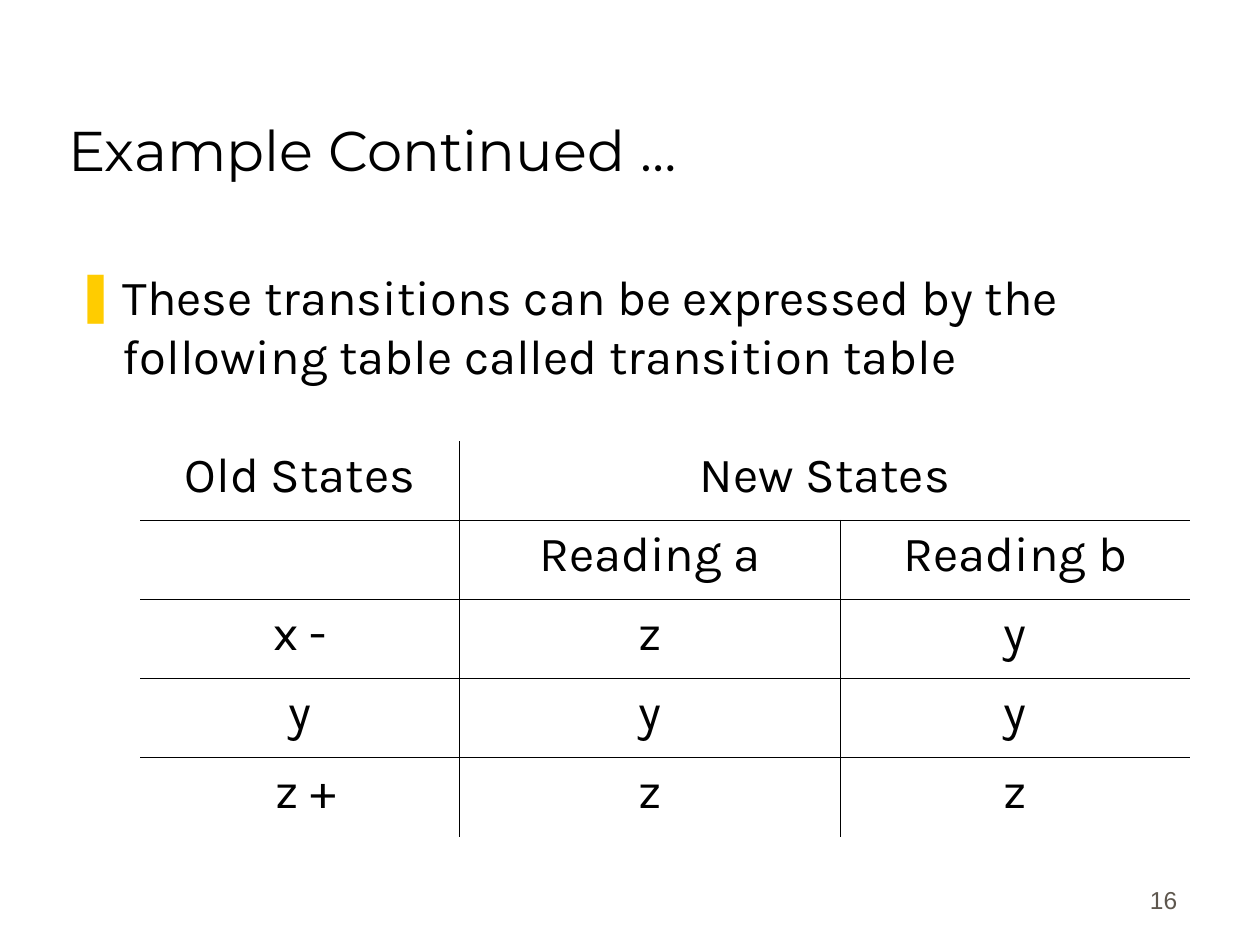
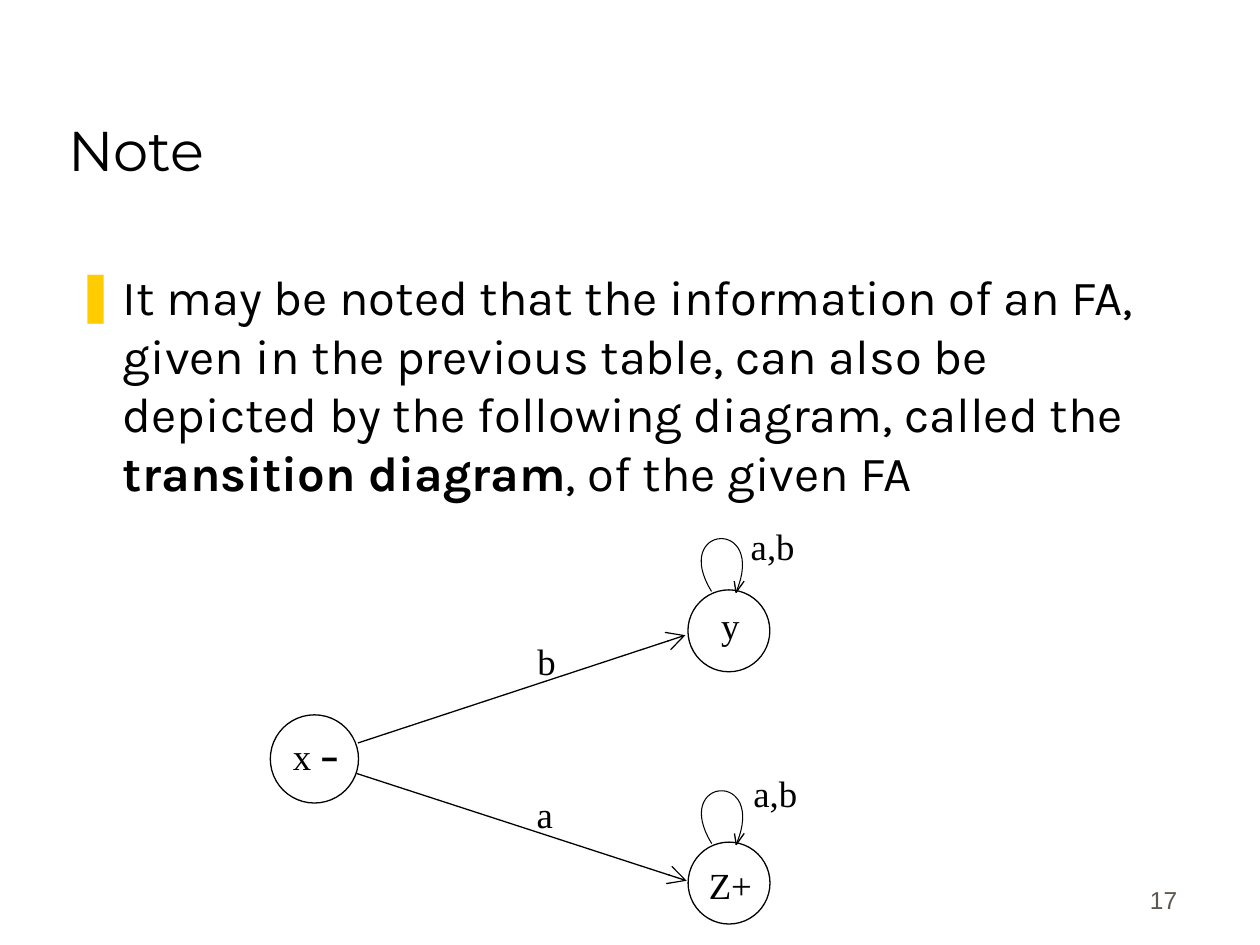
from dataclasses import dataclass

from lxml import etree
from pptx import Presentation
from pptx.dml.color import RGBColor
from pptx.enum.shapes import MSO_CONNECTOR, MSO_SHAPE
from pptx.enum.text import MSO_ANCHOR, MSO_AUTO_SIZE, PP_ALIGN
from pptx.oxml.ns import qn
from pptx.util import Pt

LEFT, CENTER, RIGHT = PP_ALIGN.LEFT, PP_ALIGN.CENTER, PP_ALIGN.RIGHT
TOP, MIDDLE, BOTTOM = MSO_ANCHOR.TOP, MSO_ANCHOR.MIDDLE, MSO_ANCHOR.BOTTOM
OVAL = MSO_SHAPE.OVAL
STRAIGHT = MSO_CONNECTOR.STRAIGHT

Point = tuple[float, float]


@dataclass(frozen=True)
class TextStyle:
    name: str
    size: float
    color: str = "000000"
    bold: bool = False


@dataclass(frozen=True)
class Theme:
    ink: str = "000000"
    paper: str = "FFFFFF"
    bullet: str = "FFCC00"
    title: TextStyle = TextStyle("Montserrat", 32)
    body: TextStyle = TextStyle("Karla", 28)
    strong: TextStyle = TextStyle("Karla", 28, bold=True)
    number: TextStyle = TextStyle("Arial", 14, "5E574E")
    label: TextStyle = TextStyle("Times New Roman", 21)
    sign: TextStyle = TextStyle("Karla", 20, bold=True)
    rule: float = 0.45
    loop: float = 0.6
    outline: float = 0.75


THEME = Theme()
Span = tuple[str, TextStyle]


@dataclass(frozen=True)
class Box:
    left: float
    top: float
    width: float
    height: float

    def lengths(self) -> tuple:
        return tuple(Pt(v) for v in (self.left, self.top, self.width, self.height))


@dataclass(frozen=True)
class State:
    """A circle of the diagram; drop moves its text down from the middle."""
    spans: tuple[Span, ...]
    left: float
    top: float
    size: float
    drop: float
    loops: bool = False


@dataclass(frozen=True)
class Arrow:
    start: Point
    end: Point


@dataclass(frozen=True)
class Label:
    text: str
    left: float
    top: float


TITLE_BOX = Box(31.7, 18, 612, 90)
NUMBER_BOX = Box(530, 490.3, 149.8, 36)
BODY_LEFT, BODY_TOP, BODY_HEIGHT = 36, 148.5, 328.3
BULLET_INDENT = 27

TABLE_LEFT, TABLE_TOP, ROW_HEIGHT = 80.2, 252, 45.26
COLUMN_WIDTHS = (182.4, 217.7, 199.9)
TRANSITIONS = (
    ("Old States", "New States", ""),
    ("", "Reading a", "Reading b"),
    ("x -", "z", "y"),
    ("y", "y", "y"),
    ("z +", "z", "z"),
)
FINAL_STATE_MARGIN = 14

STATES = (
    State((("x ", THEME.label), ("–", THEME.sign)), 154.5, 408.5, 50.4, -2),
    State((("y", THEME.label),), 393.1, 337.1, 46.8, -3.5, True),
    State((("Z+", THEME.label),), 393.2, 481.2, 46.8, 1.2, True),
)
STATE_MARGIN = 1.6
ARROWS = (
    Arrow((204.5, 424.6), (391.7, 363)),
    Arrow((203.8, 442), (392.4, 503.3)),
)
LABELS = (
    Label("b", 300, 361.4),
    Label("a", 299.5, 448.6),
    Label("a,b", 421.9, 295.6),
    Label("a,b", 423.4, 436.7),
)
LABEL_WIDTH, LABEL_HEIGHT = 70.6, 49

# Measured from the topmost point of a state's circle.
LOOP_CURVE = ((-9.9, 0.9), (-33.4, -37.3), (22.2, -41.6), (4.1, 1.5))
LOOP_BARBS = ((3.1, -5), (8.7, -5))
LOOP_STEPS = 32


def assign(target, **values) -> None:
    for name, value in values.items():
        setattr(target, name, value)


def write(para, spans: tuple[Span, ...], align=LEFT) -> None:
    assign(para, alignment=align, space_before=Pt(0))
    for text, style in spans:
        span = para.add_run()
        span.text = text
        assign(span.font, name=style.name, size=Pt(style.size), bold=style.bold)
        span.font.color.rgb = RGBColor.from_string(style.color)


def place(shape, box: Box) -> None:
    assign(shape, **dict(zip(("left", "top", "width", "height"), box.lengths())))


def add_bullet(para) -> None:
    properties = para._p.get_or_add_pPr()
    properties.set("marL", str(Pt(BULLET_INDENT)))
    properties.set("indent", str(-Pt(BULLET_INDENT)))
    color = etree.SubElement(properties, qn("a:buClr"))
    etree.SubElement(color, qn("a:srgbClr"), val=THEME.bullet)
    etree.SubElement(properties, qn("a:buChar"), char="❚")


def add_text(page, box: Box, text: str, style: TextStyle, align=LEFT, anchor=TOP) -> None:
    frame = page.shapes.add_textbox(*box.lengths()).text_frame
    assign(frame, word_wrap=True, vertical_anchor=anchor)
    write(frame.paragraphs[0], ((text, style),), align)


def add_page(deck, title: str, spans: tuple[Span, ...], body_width: float, number: int):
    page = deck.slides.add_slide(deck.slide_layouts[1])
    heading, body = page.placeholders
    place(heading, TITLE_BOX)
    place(body, Box(BODY_LEFT, BODY_TOP, body_width, BODY_HEIGHT))
    for shape, anchor in ((heading, BOTTOM), (body, TOP)):
        assign(shape.text_frame, vertical_anchor=anchor, word_wrap=True,
               auto_size=MSO_AUTO_SIZE.NONE)
    write(heading.text_frame.paragraphs[0], ((title, THEME.title),))
    point = body.text_frame.paragraphs[0]
    add_bullet(point)
    write(point, spans)
    add_text(page, NUMBER_BOX, str(number), THEME.number, RIGHT, BOTTOM)
    return page


def set_borders(cell, ruled: dict[str, bool]) -> None:
    """Rule the sides marked true and clear the others."""
    properties = cell._tc.get_or_add_tcPr()
    for side, shown in ruled.items():
        edge = etree.SubElement(properties, qn(f"a:ln{side}"), w=str(Pt(THEME.rule)))
        if shown:
            fill = etree.SubElement(edge, qn("a:solidFill"))
            etree.SubElement(fill, qn("a:srgbClr"), val=THEME.ink)
        else:
            etree.SubElement(edge, qn("a:noFill"))


def add_transition_table(page) -> None:
    rows, columns = len(TRANSITIONS), len(COLUMN_WIDTHS)
    box = Box(TABLE_LEFT, TABLE_TOP, sum(COLUMN_WIDTHS), rows * ROW_HEIGHT)
    table = page.shapes.add_table(rows, columns, *box.lengths()).table
    assign(table, first_row=False, horz_banding=False)
    for column, width in zip(table.columns, COLUMN_WIDTHS):
        column.width = Pt(width)
    for row in table.rows:
        row.height = Pt(ROW_HEIGHT)
    table.cell(0, 1).merge(table.cell(0, 2))
    for r, texts in enumerate(TRANSITIONS):
        last_ruled = 1 if r == 0 else columns - 1
        for c, text in enumerate(texts):
            cell = table.cell(r, c)
            set_borders(cell, {"L": 0 < c <= last_ruled, "R": c < last_ruled,
                               "T": r > 0, "B": r < rows - 1})
            cell.fill.background()
            if text:
                write(cell.text_frame.paragraphs[0], ((text, THEME.body),), CENTER)
    table.cell(rows - 1, 0).margin_left = Pt(FINAL_STATE_MARGIN)


def set_line(shape, width: float) -> None:
    shape.line.color.rgb = RGBColor.from_string(THEME.ink)
    shape.line.width = Pt(width)


def add_line(page, start: Point, end: Point):
    connector = page.shapes.add_connector(STRAIGHT, *(Pt(v) for v in start + end))
    set_line(connector, THEME.outline)
    etree.SubElement(connector._element.spPr, qn("a:effectLst"))
    return connector


def add_arrow(page, arrow: Arrow) -> None:
    line = add_line(page, arrow.start, arrow.end).line._get_or_add_ln()
    etree.SubElement(line, qn("a:tailEnd"), type="arrow", w="lg", len="lg")


def add_state(page, state: State) -> None:
    box = Box(state.left, state.top, state.size, state.size)
    circle = page.shapes.add_shape(OVAL, *box.lengths())
    circle.shadow.inherit = False
    circle.fill.solid()
    circle.fill.fore_color.rgb = RGBColor.from_string(THEME.paper)
    set_line(circle, THEME.outline)
    assign(circle.text_frame, word_wrap=False, vertical_anchor=MIDDLE,
           margin_left=Pt(STATE_MARGIN), margin_right=0,
           margin_top=Pt(max(2 * state.drop, 0)),
           margin_bottom=Pt(max(-2 * state.drop, 0)))
    write(circle.text_frame.paragraphs[0], state.spans, CENTER)
    if state.loops:
        add_loop(page, state.left + state.size / 2, state.top)


def curve_point(t: float) -> Point:
    """Point of the cubic loop curve at t from 0 to 1."""
    weights = ((1 - t) ** 3, 3 * t * (1 - t) ** 2, 3 * t * t * (1 - t), t ** 3)
    x, y = (sum(w * p[axis] for w, p in zip(weights, LOOP_CURVE)) for axis in (0, 1))
    return x, y


def add_loop(page, x: float, y: float) -> None:
    """Draw a self-transition with an open arrowhead above the point x, y."""
    def shifted(point: Point) -> Point:
        return x + point[0], y + point[1]

    curve = [shifted(curve_point(i / LOOP_STEPS)) for i in range(LOOP_STEPS + 1)]
    start, *others = [(Pt(across), Pt(down)) for across, down in curve]
    builder = page.shapes.build_freeform(*start)
    builder.add_line_segments(others, close=False)
    loop = builder.convert_to_shape()
    loop.shadow.inherit = False
    loop.fill.background()
    set_line(loop, THEME.loop)
    for barb in LOOP_BARBS:
        add_line(page, shifted(barb), curve[-1])


def add_transition_diagram(page) -> None:
    for state in STATES:
        add_state(page, state)
    for arrow in ARROWS:
        add_arrow(page, arrow)
    for label in LABELS:
        box = Box(label.left, label.top, LABEL_WIDTH, LABEL_HEIGHT)
        add_text(page, box, label.text, THEME.label)


def main() -> None:
    deck = Presentation()
    assign(deck, slide_width=Pt(720), slide_height=Pt(540))

    table_page = add_page(deck, "Example Continued …", (
        ("These transitions can be expressed by the following table called "
         "transition table", THEME.body),
    ), 612, 16)
    add_transition_table(table_page)

    diagram_page = add_page(deck, "Note", (
        ("It may be noted that the information of an FA, given in the previous "
         "table, can also be depicted by the following diagram, called the ", THEME.body),
        ("transition diagram", THEME.strong),
        (", of the given FA", THEME.body),
    ), 643.7, 17)
    add_transition_diagram(diagram_page)

    deck.save("out.pptx")


if __name__ == "__main__":
    main()
